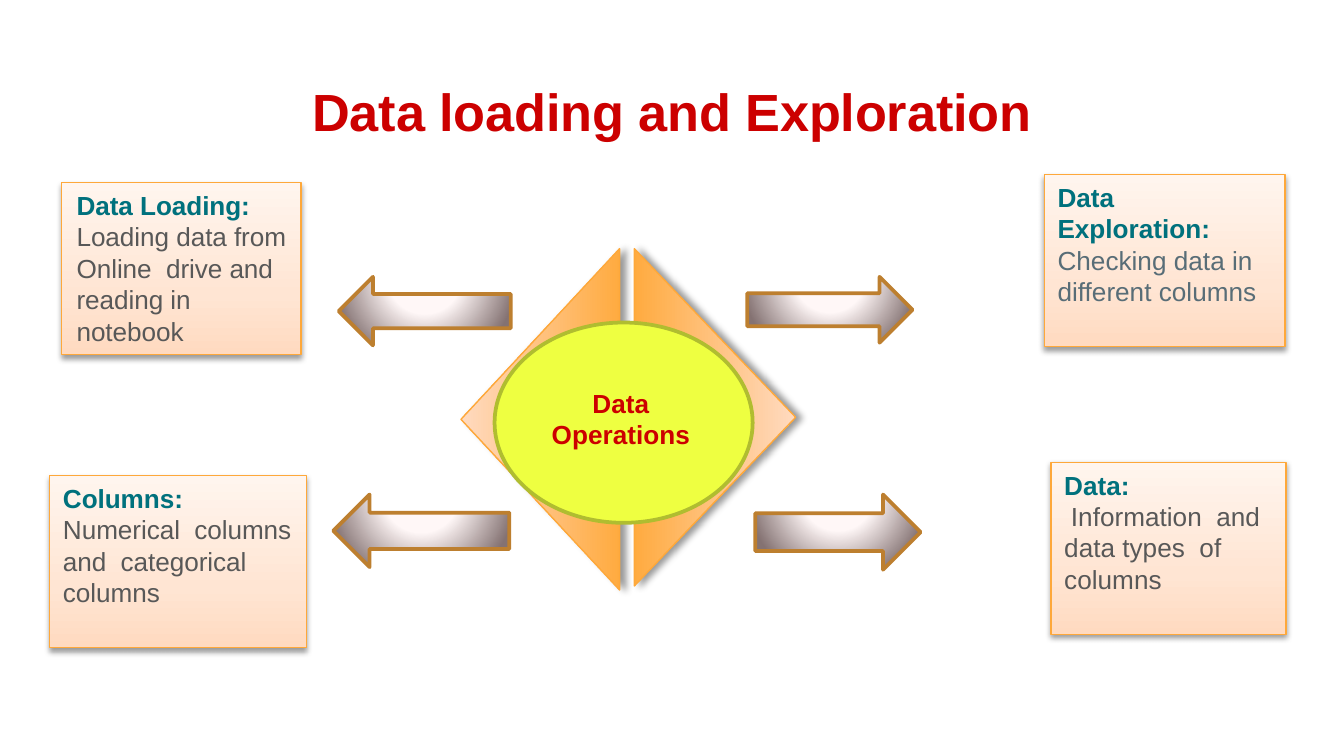
from lxml import etree
from pptx import Presentation
from pptx.dml.color import RGBColor
from pptx.enum import shapes, text
from pptx.oxml import ns
from pptx.util import Inches, Pt

RED = RGBColor(0xCC, 0x00, 0x00)
TEAL = RGBColor(0x00, 0x71, 0x7D)
GREY = RGBColor(0x58, 0x58, 0x58)
SLATE = RGBColor(0x58, 0x6D, 0x77)
ORANGE = RGBColor(0xFF, 0xAB, 0x40)
ORANGE_EDGE = RGBColor(0xFE, 0xA8, 0x3A)
PEACH = RGBColor(0xFF, 0xDA, 0xC0)
PEACH_MID = RGBColor(0xFF, 0xE5, 0xD3)
PEACH_PALE = RGBColor(0xFF, 0xF5, 0xEE)
YELLOW = RGBColor(0xEE, 0xFF, 0x41)
OLIVE = RGBColor(0xB0, 0xBD, 0x30)
PEARL = RGBColor(0xFF, 0xFA, 0xFA)
PEARL_MID = RGBColor(0xFF, 0xF7, 0xF7)
MAUVE = RGBColor(0x84, 0x72, 0x72)
BRONZE = RGBColor(0xBD, 0x7F, 0x2F)

CARD_STOPS = [(0, PEACH), (35, PEACH_MID), (100, PEACH_PALE)]
TRIANGLE_STOPS = [(0, ORANGE), (100, PEACH)]
ARROW_STOPS = [(0, PEARL), (40, PEARL_MID), (100, MAUVE)]
UPWARD = {"ang": 270 * 60000, "scaled": 0}
GLOW = {"l": 50000, "t": -80000, "r": 50000, "b": 180000}


def child(parent, tag, **attributes):
    element = etree.SubElement(parent, ns.qn("a:" + tag))
    for key, value in attributes.items():
        element.set(key, str(value))
    return element


def add_figure(slide, kind, box, edge, width):
    figure = slide.shapes.add_shape(kind, *map(Inches, box))
    figure.shadow.inherit = False
    figure.line.color.rgb = edge
    figure.line.width = Pt(width)
    return figure


def fill_gradient(figure, stops, radial=False):
    properties = figure._element.spPr
    gradient = child(properties, "gradFill", rotWithShape=1)
    stop_list = child(gradient, "gsLst")
    for position, color in stops:
        stop = child(stop_list, "gs", pos=position * 1000)
        child(stop, "srgbClr", val=color)
    if radial:
        child(child(gradient, "path", path="circle"), "fillToRect", **GLOW)
    else:
        child(gradient, "lin", **UPWARD)
    properties.find(ns.qn("a:prstGeom")).addnext(gradient)


def cast_shadow(figure, opacity, blur, distance, angle):
    effects = figure._element.spPr.find(ns.qn("a:effectLst"))
    shadow = child(effects, "outerShdw", blurRad=Pt(blur), dist=Pt(distance),
                   dir=angle * 60000, algn="ctr", rotWithShape=0)
    child(child(shadow, "srgbClr", val="000000"), "alpha", val=opacity * 1000)


def style(paragraph, size, color, bold=True, align=text.PP_ALIGN.LEFT):
    paragraph.alignment = align
    font = paragraph.font
    font.name, font.size, font.bold = "Arial", Pt(size), bold
    font.color.rgb = color


def tighten(paragraph):
    """Draw the letters slightly closer."""
    for run in paragraph.runs:
        run.font._element.set("spc", "-5")


def add_title(slide, box, wording):
    title = slide.shapes.title
    title.left, title.top, title.width, title.height = map(Inches, box)
    frame = title.text_frame
    frame.text = wording
    frame.vertical_anchor = text.MSO_ANCHOR.TOP
    frame.margin_left = frame.margin_right = Inches(0.1)
    frame.margin_top = frame.margin_bottom = Inches(0.1)
    style(frame.paragraphs[0], 28, RED, align=text.PP_ALIGN.CENTER)
    tighten(frame.paragraphs[0])


def add_card(slide, box, heading, body, color=GREY, margin=0.1, indent=0,
             tight=False):
    card = add_figure(slide, shapes.MSO_SHAPE.RECTANGLE, box, ORANGE_EDGE, 0.75)
    fill_gradient(card, CARD_STOPS)
    cast_shadow(card, 38, 3.1, 1.6, 90)
    frame = card.text_frame
    frame.word_wrap = True
    frame.vertical_anchor = text.MSO_ANCHOR.TOP
    frame.margin_left = Inches(margin)
    frame.text = heading + "\n" + body
    first, second = frame.paragraphs
    style(first, 14, TEAL)
    style(second, 14, color, bold=False)
    second._p.get_or_add_pPr().set("indent", str(Inches(indent)))
    if tight:
        tighten(first)
        tighten(second)


def add_hub(slide, left, top):
    """Two triangles back to back behind a labelled ellipse."""
    for x, width, height, turn in [(0, 1.18, 2.54, 270), (1.29, 1.2, 2.51, 90)]:
        # The unturned frame shares its centre with the turned one.
        box = (left + x + (width - height) / 2,
               top + (height - width) / 2, height, width)
        triangle = add_figure(slide, shapes.MSO_SHAPE.ISOSCELES_TRIANGLE,
                              box, ORANGE_EDGE, 0.75)
        triangle.rotation = turn
        fill_gradient(triangle, TRIANGLE_STOPS)
        cast_shadow(triangle, 40, 4, 3, 0)

    ellipse = add_figure(slide, shapes.MSO_SHAPE.OVAL,
                         (left + 0.25, top + 0.55, 1.92, 1.49), OLIVE, 2)
    ellipse.fill.solid()
    ellipse.fill.fore_color.rgb = YELLOW

    label = slide.shapes.add_textbox(Inches(left + 0.52), Inches(top + 0.98),
                                     Inches(1.34), Inches(0.57))
    label.text_frame.word_wrap = True
    label.text_frame.text = "Data\nOperations"
    for paragraph in label.text_frame.paragraphs:
        style(paragraph, 14, RED, align=text.PP_ALIGN.CENTER)


def add_arrow(slide, kind, box):
    arrow = add_figure(slide, kind, box, BRONZE, 2)
    fill_gradient(arrow, ARROW_STOPS, radial=True)


def main():
    deck = Presentation()
    deck.slide_width = Inches(10)
    deck.slide_height = deck.slide_width * 9 // 16
    slide = deck.slides.add_slide(deck.slide_layouts[5])

    add_title(slide, (0.34, 0.49, 9.32, 0.63), "Data loading and Exploration")
    add_hub(slide, 3.43, 1.85)
    add_card(slide, (7.77, 1.3, 1.79, 1.28), "Data Exploration:",
             "Checking data in different columns", color=SLATE)
    add_card(slide, (7.82, 3.44, 1.75, 1.28), "Data:",
             "Information  and data types  of columns", indent=0.05)
    add_card(slide, (0.37, 3.54, 1.91, 1.28), "Columns:",
             "Numerical  columns and  categorical columns", tight=True)
    add_card(slide, (0.46, 1.36, 1.78, 1.28), "Data Loading:",
             "Loading data from Online  drive and reading in notebook",
             margin=0.11, tight=True)

    for kind, box in [
        (shapes.MSO_SHAPE.RIGHT_ARROW, (5.62, 3.68, 1.23, 0.56)),
        (shapes.MSO_SHAPE.RIGHT_ARROW, (5.56, 2.06, 1.23, 0.49)),
        (shapes.MSO_SHAPE.LEFT_ARROW, (2.52, 2.06, 1.28, 0.51)),
        (shapes.MSO_SHAPE.LEFT_ARROW, (2.48, 3.68, 1.31, 0.54)),
    ]:
        add_arrow(slide, kind, box)

    deck.save("out.pptx")


if __name__ == "__main__":
    main()
